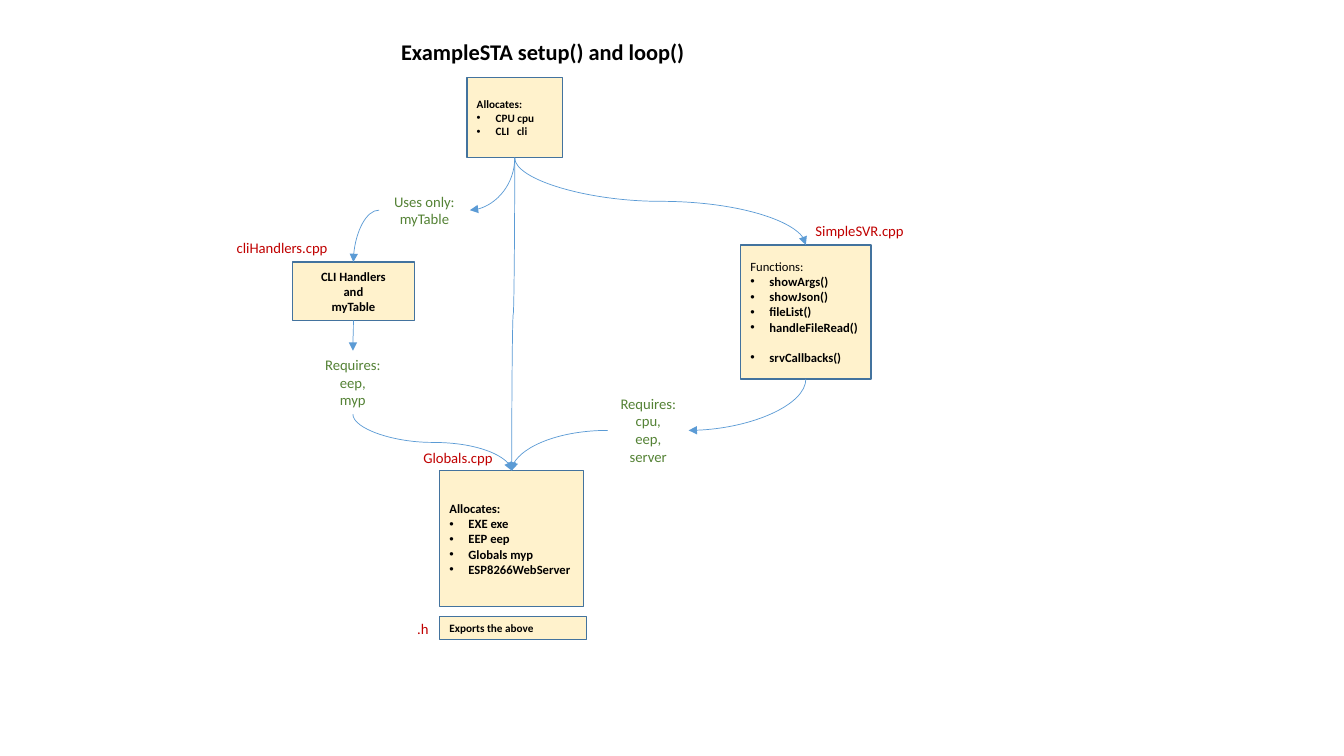
import pptx
import pptx.dml.color
import pptx.enum.shapes
import pptx.enum.text
import pptx.oxml
import pptx.oxml.ns
import pptx.util
from lxml import etree

COLORS = {"box": "FFF2CC", "outline": "43739E", "arrow": "5B9BD5",
          "file": "C00000", "need": "548235", "text": "000000"}
FONT = "Calibri"
STEP = 0.1  # inches in one grid column or row
BULLET_INDENT = 1.88
LEFT = pptx.enum.text.PP_ALIGN.LEFT
CENTER = pptx.enum.text.PP_ALIGN.CENTER

# Left, top, width and height in grid columns and rows
SETUP = (46.3, 7.7, 9.5, 7.95)
HANDLERS = (29, 26, 12.1, 5.8)
SERVER = (73.45, 24.3, 12.95, 13.3)
GLOBALS = (43.6, 46.7, 14.3, 13.5)
HEADER = (43.6, 61.15, 14.55, 2.3)
USES_TABLE = (37.6, 18.6, 9, 4.5)
HANDLER_NEEDS = (31, 34.8, 8, 6.3)
SERVER_NEEDS = (60.3, 38.65, 8, 8.1)


def grid(count):
    """Turn grid steps into a length."""
    return pptx.util.Inches(count * STEP)


def rgb(name):
    """Look up a named colour."""
    return pptx.dml.color.RGBColor.from_string(COLORS[name])


def side(area, across, down):
    """Point at the given shares of an area's width and height."""
    left, top, width, height = area
    return left + across * width, top + down * height


def write(frame, lines, size, color="text", bold=False, align=LEFT):
    """Fill a text frame with one paragraph for each line."""
    for index, line in enumerate(lines):
        paragraph = frame.paragraphs[0] if index == 0 else frame.add_paragraph()
        paragraph.alignment = align
        run = paragraph.add_run()
        run.text = line
        run.font.name = FONT
        run.font.size = pptx.util.Pt(size)
        run.font.bold = bold
        run.font.color.rgb = rgb(color)


def add_bullet(paragraph):
    """Give a paragraph a hanging round bullet."""
    properties = paragraph._p.get_or_add_pPr()
    properties.set("marL", str(grid(BULLET_INDENT)))
    properties.set("indent", str(-grid(BULLET_INDENT)))
    font = etree.SubElement(properties, pptx.oxml.ns.qn("a:buFont"))
    font.set("typeface", "Arial")
    etree.SubElement(properties, pptx.oxml.ns.qn("a:buChar")).set("char", "\u2022")


def add_tab_stop(paragraph, position):
    """Set a left tab stop at a grid position."""
    properties = paragraph._p.get_or_add_pPr()
    stops = etree.SubElement(properties, pptx.oxml.ns.qn("a:tabLst"))
    stop = etree.SubElement(stops, pptx.oxml.ns.qn("a:tab"))
    stop.set("pos", str(grid(position)))
    stop.set("algn", "l")


def add_box(slide, area, lines, size, align=LEFT, bulleted=False, bold_heading=True):
    """Add a module box; its first line is a heading when bulleted."""
    shape = slide.shapes.add_shape(pptx.enum.shapes.MSO_SHAPE.RECTANGLE, *map(grid, area))
    shape.shadow.inherit = False
    shape.fill.solid()
    shape.fill.fore_color.rgb = rgb("box")
    shape.line.color.rgb = rgb("outline")
    shape.line.width = pptx.util.Pt(1)
    frame = shape.text_frame
    frame.word_wrap = True
    frame.vertical_anchor = pptx.enum.text.MSO_ANCHOR.MIDDLE
    write(frame, lines, size, bold=True, align=align)
    frame.paragraphs[0].runs[0].font.bold = bold_heading
    if bulleted:
        for paragraph in frame.paragraphs[1:]:
            add_bullet(paragraph)
    return frame


def add_label(slide, area, lines, color, size=10.5, align=LEFT, bold=False, wrap=True):
    """Add free text."""
    frame = slide.shapes.add_textbox(*map(grid, area)).text_frame
    frame.word_wrap = wrap
    write(frame, lines, size, color, bold, align)


def add_curve(slide, start, end, preset, leaves_down=True):
    """Add a curved arrow that leaves its start downwards or sideways."""
    ends, turn = (*start, *end), 0
    if leaves_down:
        across, down = end[0] - start[0], end[1] - start[1]
        middle_x, middle_y = (start[0] + end[0]) / 2, (start[1] + end[1]) / 2
        reach = -down / 2 if across > 0 else down / 2
        half = abs(across) / 2
        turn = 270 if across > 0 else 90
        ends = (middle_x - reach, middle_y - half, middle_x + reach, middle_y + half)
    connector = slide.shapes.add_connector(
        pptx.enum.shapes.MSO_CONNECTOR.CURVE, *map(grid, ends))
    connector.line.color.rgb = rgb("arrow")
    connector.line.width = pptx.util.Pt(0.5)
    properties = connector._element.spPr
    properties.find(pptx.oxml.ns.qn("a:xfrm")).set("rot", str(turn * 60000))
    properties.find(pptx.oxml.ns.qn("a:prstGeom")).set("prst", preset)
    line = properties.find(pptx.oxml.ns.qn("a:ln"))
    etree.SubElement(line, pptx.oxml.ns.qn("a:tailEnd")).set("type", "triangle")
    etree.SubElement(properties, pptx.oxml.ns.qn("a:effectLst"))


def add_boxes(slide):
    """Add the module boxes."""
    setup = add_box(slide, SETUP, ["Allocates:", "CPU cpu", "CLI\tcli"], 8, bulleted=True)
    add_tab_stop(setup.paragraphs[-1], 4)
    add_box(slide, HANDLERS, ["CLI Handlers", "and", "myTable"], 9, CENTER)
    server = add_box(slide, SERVER, ["Functions:", "showArgs()", "showJson()", "fileList()",
                                     "handleFileRead()", "srvCallbacks()"], 9,
                     bulleted=True, bold_heading=False)
    server.paragraphs[-1].space_before = pptx.util.Pt(11)
    add_box(slide, GLOBALS, ["Allocates:", "EXE exe", "EEP eep", "Globals myp",
                             "ESP8266WebServer"], 9, bulleted=True)
    add_box(slide, HEADER, ["Exports the above"], 8)


def add_labels(slide):
    """Add the title, file names and dependency notes."""
    add_label(slide, (38.8, 3.3, 30.5, 3.7), ["ExampleSTA setup() and loop()"],
              "text", 16, bold=True, wrap=False)
    for name, left, top, width in (("SimpleSVR.cpp", 79.9, 21.5, 11.7),
                                   ("cliHandlers.cpp", 22.5, 23.2, 11.4),
                                   ("Globals.cpp", 41, 44, 9.8),
                                   (".h", 40.4, 61, 3.3)):
        add_label(slide, (left, top, width, 2.8), [name], "file")
    for area, lines in ((USES_TABLE, ["Uses only: myTable"]),
                        (HANDLER_NEEDS, ["Requires:", "eep,", "myp"]),
                        (SERVER_NEEDS, ["Requires:", "cpu,", "eep,", "server"])):
        add_label(slide, area, lines, "need", align=CENTER)


def add_arrows(slide):
    """Join the boxes and notes."""
    top, bottom, left, right = (0.5, 0), (0.5, 1), (0, 0.5), (1, 0.5)
    bend, wave = "curvedConnector2", "curvedConnector3"
    for source, leave, target, enter, preset in (
            (SETUP, bottom, USES_TABLE, right, bend),
            (USES_TABLE, left, HANDLERS, top, bend),
            (HANDLERS, bottom, HANDLER_NEEDS, top, wave),
            (HANDLER_NEEDS, bottom, GLOBALS, top, wave),
            (SETUP, bottom, GLOBALS, top, wave),
            (SETUP, bottom, SERVER, top, wave),
            (SERVER, bottom, SERVER_NEEDS, right, bend),
            (SERVER_NEEDS, left, GLOBALS, top, bend)):
        add_curve(slide, side(source, *leave), side(target, *enter), preset,
                  leaves_down=leave == bottom)


def main():
    """Build and save the slide."""
    presentation = pptx.Presentation()
    presentation.slide_width = pptx.util.Inches(13.33)
    presentation.slide_height = pptx.util.Inches(7.5)
    slide = presentation.slides.add_slide(presentation.slide_layouts[6])
    add_boxes(slide)
    add_labels(slide)
    add_arrows(slide)
    presentation.save("out.pptx")


main()
